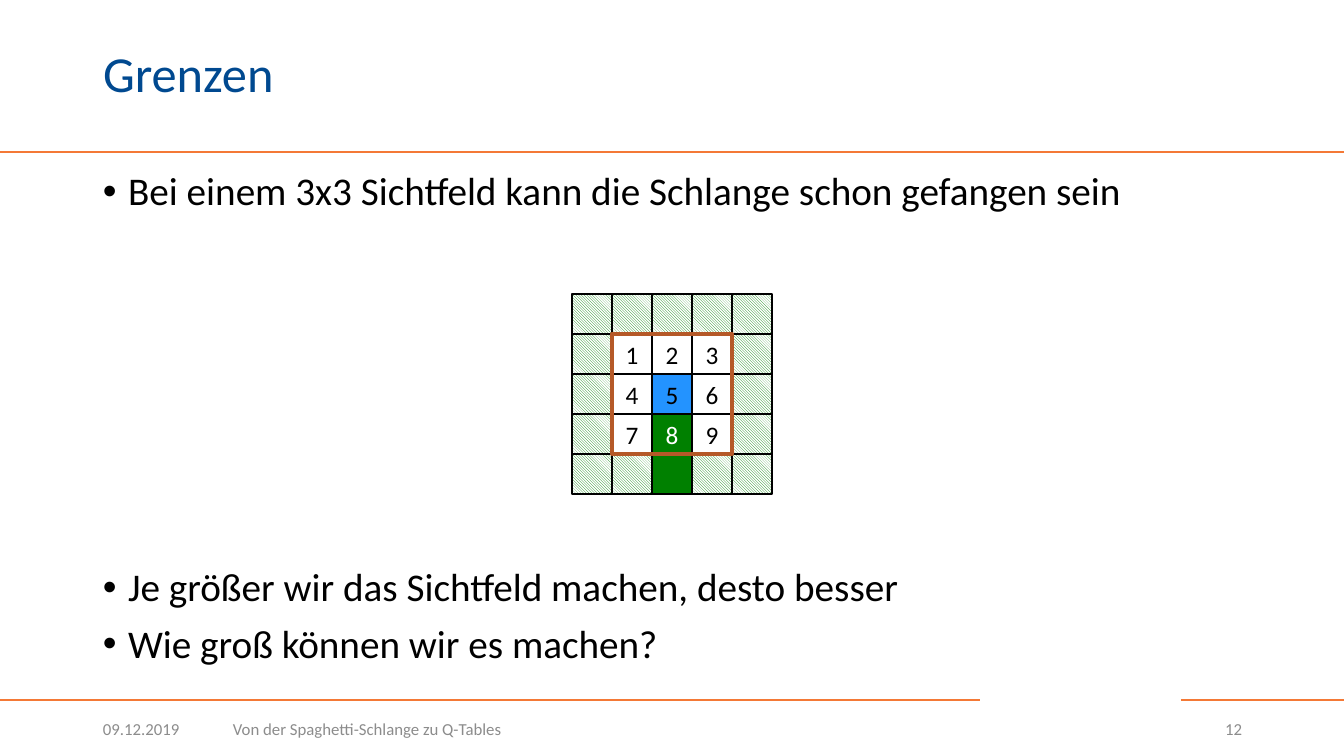
from dataclasses import dataclass

from lxml.etree import SubElement
from pptx import Presentation
from pptx.dml.color import RGBColor
from pptx.enum.dml import MSO_PATTERN
from pptx.enum.shapes import MSO_CONNECTOR, MSO_SHAPE
from pptx.enum.text import MSO_ANCHOR, MSO_AUTO_SIZE, PP_ALIGN
from pptx.oxml.ns import qn
from pptx.util import Emu, Pt


@dataclass(frozen=True)
class Theme:
    font: str = "Calibri"
    title: str = "004990"
    text: str = "000000"
    footer: str = "8C8C8C"
    rule: str = "F47936"
    white: str = "FFFFFF"
    head: str = "2393FF"
    snake: str = "008000"
    view: str = "B55928"
    title_size: int = 36
    body_size: int = 28
    cell_size: int = 18
    footer_size: int = 12


T = Theme()
SCALE = 914400 / 100.8

# W wall, . free, H snake head, S snake body
FIELD = ["WWWWW",
         "W...W",
         "W.H.W",
         "W.S.W",
         "WWSWW"]


def px(n):
    return Emu(round(n * SCALE))


def rgb(value):
    return RGBColor.from_string(value)


def add_run(p, text, size, color):
    r = p.add_run()
    r.text = text
    r.font.name = T.font
    r.font.size = Pt(size)
    r.font.color.rgb = rgb(color)


def add_box(s, box, anchor):
    tf = s.shapes.add_textbox(*map(px, box)).text_frame
    tf.word_wrap = True
    tf.vertical_anchor = anchor
    return tf


def add_rules(s, segments):
    for x1, x2, y in segments:
        line = s.shapes.add_connector(MSO_CONNECTOR.STRAIGHT, px(x1), px(y), px(x2), px(y))
        line.line.color.rgb = rgb(T.rule)
        line.line.width = Pt(2)
        SubElement(line._element.spPr, qn("a:effectLst"))


def add_title(s, box, text):
    sp = s.shapes.title
    sp.left, sp.top, sp.width, sp.height = map(px, box)
    tf = sp.text_frame
    tf.auto_size = MSO_AUTO_SIZE.NONE
    tf.vertical_anchor = MSO_ANCHOR.MIDDLE
    p = tf.paragraphs[0]
    p.alignment = PP_ALIGN.LEFT
    p.line_spacing = 0.9
    add_run(p, text, T.title_size, T.title)


def add_bullets(s, box, items):
    tf = add_box(s, box, MSO_ANCHOR.TOP)
    for i, item in enumerate(items):
        p = tf.add_paragraph() if i else tf.paragraphs[0]
        p.line_spacing = 0.9
        p.space_before = Pt(10)
        pPr = p._p.get_or_add_pPr()
        pPr.set("marL", "228600")
        pPr.set("indent", "-228600")
        SubElement(pPr, qn("a:buFont")).set("typeface", "Arial")
        SubElement(pPr, qn("a:buChar")).set("char", "•")
        add_run(p, item, T.body_size, T.text)


def add_square(group, box, line_color, line_width):
    sp = group.shapes.add_shape(MSO_SHAPE.RECTANGLE, *map(px, box))
    sp.shadow.inherit = False
    sp.line.color.rgb = rgb(line_color)
    sp.line.width = Pt(line_width)
    return sp


def fill_cell(sp, kind):
    if kind == "W":
        sp.fill.patterned()
        sp.fill.pattern = MSO_PATTERN.DARK_DOWNWARD_DIAGONAL
        sp.fill.fore_color.rgb = rgb(T.snake)
        sp.fill.back_color.rgb = rgb(T.white)
    else:
        sp.fill.solid()
        sp.fill.fore_color.rgb = rgb({".": T.white, "H": T.head, "S": T.snake}[kind])


def number_cell(sp, number, color):
    tf = sp.text_frame
    tf.margin_left = tf.margin_right = tf.margin_top = tf.margin_bottom = 0
    tf.vertical_anchor = MSO_ANCHOR.MIDDLE
    p = tf.paragraphs[0]
    p.alignment = PP_ALIGN.CENTER
    add_run(p, str(number), T.cell_size, color)


def add_field(s, box):
    x, y, width, _ = box
    cell = width // len(FIELD)
    group = s.shapes.add_group_shape()
    for row, kinds in enumerate(FIELD):
        for col, kind in enumerate(kinds):
            sp = add_square(group, (x + col * cell, y + row * cell, cell, cell), T.text, 1)
            fill_cell(sp, kind)
            # The 3x3 field of view is numbered row by row
            if row in (1, 2, 3) and col in (1, 2, 3):
                color = T.white if kind == "S" else T.text
                number_cell(sp, 3 * (row - 1) + col, color)
    view = add_square(group, (x + cell, y + cell, 3 * cell, 3 * cell), T.view, 3)
    view.fill.background()


def add_footer(s, box):
    x, y, width, height = box
    parts = [(0, 118, "09.12.2019", PP_ALIGN.LEFT),
             (130, 933, "Von der Spaghetti-Schlange zu Q-Tables", PP_ALIGN.LEFT),
             (width - 80, 80, "12", PP_ALIGN.RIGHT)]
    for dx, w, text, align in parts:
        tf = add_box(s, (x + dx, y, w, height), MSO_ANCHOR.MIDDLE)
        p = tf.paragraphs[0]
        p.alignment = align
        add_run(p, text, T.footer_size, T.footer)


def main():
    prs = Presentation()
    prs.slide_width, prs.slide_height = px(1344), px(756)
    s = prs.slides.add_slide(prs.slide_layouts[5])

    # Rules above and below the content
    add_rules(s, [(0, 1344, 152), (0, 980, 700), (1181, 1344, 700)])
    # Title and bullets around the playing field
    add_title(s, (93, 17, 1159, 119), "Grenzen")
    add_bullets(s, (93, 167, 1159, 60),
                ["Bei einem 3x3 Sichtfeld kann die Schlange schon gefangen sein"])
    add_bullets(s, (93, 563, 1159, 116),
                ["Je größer wir das Sichtfeld machen, desto besser",
                 "Wie groß können wir es machen?"])
    add_field(s, (572, 294, 200, 200))
    # Date, talk title and page number
    add_footer(s, (93, 709, 1159, 40))

    prs.save("out.pptx")


if __name__ == "__main__":
    main()
